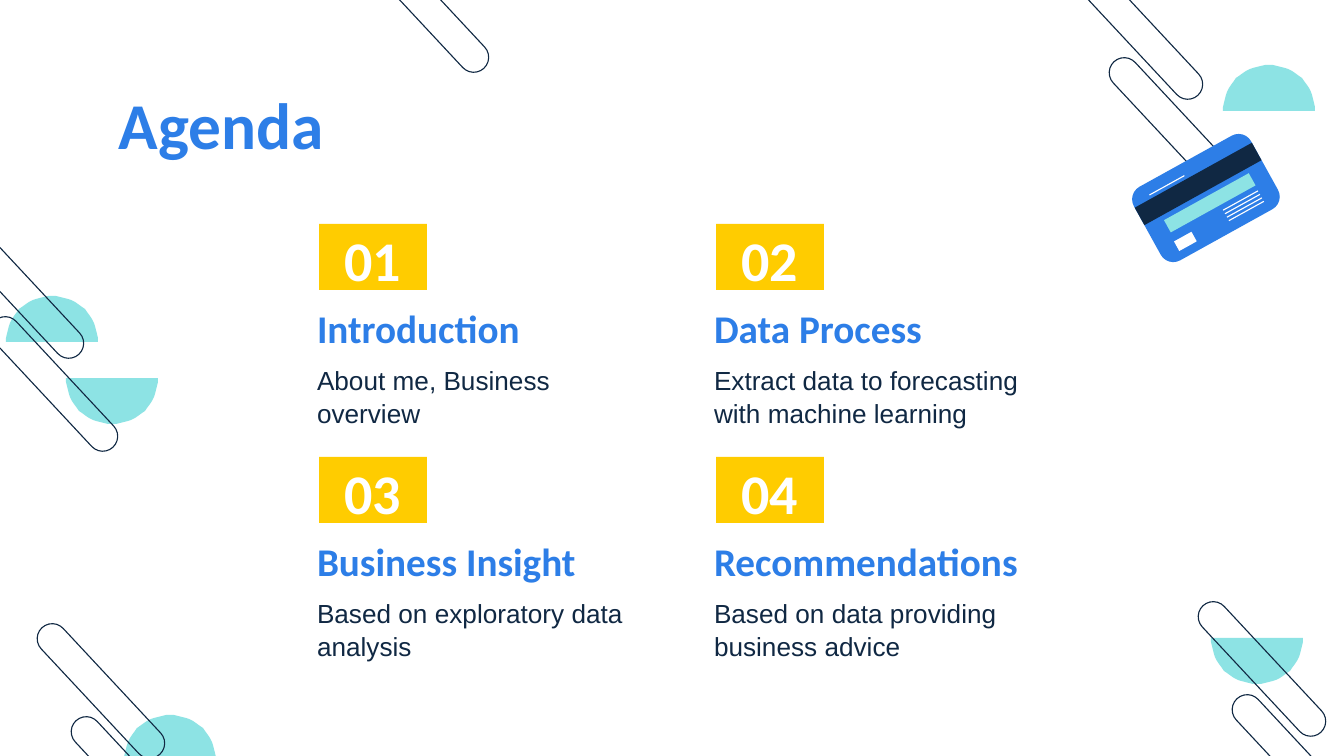
import math

from lxml import etree
from pptx import Presentation
from pptx.dml.color import RGBColor
from pptx.enum.shapes import MSO_CONNECTOR, MSO_SHAPE
from pptx.enum.text import MSO_ANCHOR, PP_ALIGN
from pptx.oxml.ns import qn
from pptx.util import Emu, Pt

RECT, ROUNDED = MSO_SHAPE.RECTANGLE, MSO_SHAPE.ROUNDED_RECTANGLE
STRAIGHT = MSO_CONNECTOR.STRAIGHT
TOP, MIDDLE, BOTTOM = MSO_ANCHOR.TOP, MSO_ANCHOR.MIDDLE, MSO_ANCHOR.BOTTOM
LEFT, CENTER = PP_ALIGN.LEFT, PP_ALIGN.CENTER

WIDTH, HEIGHT = 1344, 756
SCALE = 9144000 / WIDTH
COLORS = {"blue": "2D7EE7", "navy": "102843", "aqua": "8DE3E4",
          "yellow": "FFCC00", "white": "FFFFFF"}
HEADING, BODY = "Calibri", "Arial"
HAIRLINE = 0.59
LINE_SPACING = 1.07

PILL_LENGTH, PILL_WIDTH, PILL_ANGLE = 173, 30, 47
PILL_PAIR_STEP = (34, 93)
DISC_RADIUS = 46
CARD_ANGLE = -29

AGENDA = [
    ("01", "Introduction", "About me, Business overview"),
    ("02", "Data Process", "Extract data to forecasting with machine learning"),
    ("03", "Business Insight", "Based on exploratory data analysis"),
    ("04", "Recommendations", "Based on data providing business advice"),
]


def px(value):
    return Emu(round(value * SCALE))


def color(name):
    return RGBColor.from_string(COLORS[name])


def paint(shape, fill=None, line=None):
    shape.shadow.inherit = False
    if fill:
        shape.fill.solid()
        shape.fill.fore_color.rgb = color(fill)
    else:
        shape.fill.background()
    if line:
        shape.line.color.rgb = color(line)
        shape.line.width = Pt(HAIRLINE)
    else:
        shape.line.fill.background()


def write(shape, text, size, font, ink, bold=False, anchor=TOP, align=LEFT):
    frame = shape.text_frame
    frame.word_wrap = True
    frame.vertical_anchor = anchor
    frame.margin_left = frame.margin_right = px(13)
    frame.margin_top = frame.margin_bottom = px(13)
    frame.text = text
    para = frame.paragraphs[0]
    para.alignment = align
    para.line_spacing = LINE_SPACING
    style = para.runs[0].font
    style.name, style.size, style.bold = font, Pt(size), bold
    style.color.rgb = color(ink)


def add_text(page, box, *args, **style):
    write(page.shapes.add_textbox(*map(px, box)), *args, **style)


def add_tilted(page, kind, center, size, angle):
    (x, y), (width, height) = center, size
    shape = page.shapes.add_shape(kind, px(x - width / 2), px(y - height / 2),
                                  px(width), px(height))
    shape.rotation = angle
    return shape


def add_pill(page, x, y):
    pill = add_tilted(page, ROUNDED, (x, y), (PILL_LENGTH, PILL_WIDTH), PILL_ANGLE)
    pill.adjustments[0] = 0.5
    paint(pill, line="navy")


def add_pill_pair(page, x, y):
    """Draw a pill centred on x, y and a second one up and to the left."""
    add_pill(page, x, y)
    add_pill(page, x - PILL_PAIR_STEP[0], y - PILL_PAIR_STEP[1])


def add_half_disc(page, x, y, side):
    """Draw a half disc on the flat edge centred on x, y; side -1 is up, 1 down."""
    arc = [(x + DISC_RADIUS * math.cos(math.radians(step)),
            y + side * DISC_RADIUS * math.sin(math.radians(step)))
           for step in range(0, 181, 5)]
    builder = page.shapes.build_freeform(*arc[0], scale=SCALE)
    builder.add_line_segments(arc[1:], close=True)
    paint(builder.convert_to_shape(), fill="aqua")


def add_decoration(page):
    for x, y, side in [(1269, 111, -1), (52, 342, -1), (112, 378, 1),
                       (1257, 638, 1), (170, 761, -1)]:
        add_half_disc(page, x, y, side)
    for x, y in [(1173, 125), (54, 384), (135, 784), (1296, 762)]:
        add_pill_pair(page, x, y)
    add_pill(page, 425, 5)


def add_bank_card(page, x, y):
    """Draw the card centred on x, y, its parts measured along its own axes."""
    cos = math.cos(math.radians(CARD_ANGLE))
    sin = math.sin(math.radians(CARD_ANGLE))

    def spot(along, across):
        return x + along * cos - across * sin, y + along * sin + across * cos

    def part(kind, along, across, width, height, fill):
        shape = add_tilted(page, kind, spot(along, across), (width, height), CARD_ANGLE)
        paint(shape, fill=fill)
        return shape

    body = part(ROUNDED, 0, 0, 134, 84, "blue")
    body.adjustments[0] = 0.17
    part(RECT, 0, -16, 134, 20, "navy")
    part(RECT, 1, 6, 97, 14, "aqua")
    part(RECT, -39, 28, 20, 11, "white")
    for along, across in [(29, 19), (29, 23), (29, 27), (29, 31), (-28, -30)]:
        ends = spot(along - 20, across) + spot(along + 20, across)
        stroke = page.shapes.add_connector(STRAIGHT, *map(px, ends))
        stroke.line.color.rgb = color("white")
        stroke.line.width = Pt(HAIRLINE)
        etree.SubElement(stroke._element.spPr, qn("a:effectLst"))


def add_agenda_item(page, x, y, number, title, detail):
    badge = page.shapes.add_shape(RECT, px(x + 15), px(y), px(108), px(66))
    paint(badge, fill="yellow")
    write(badge, number, 30, HEADING, "white", bold=True, anchor=MIDDLE, align=CENTER)
    add_text(page, (x, y + 82, 339, 58), title, 21, HEADING, "blue",
             bold=True, anchor=BOTTOM)
    add_text(page, (x, y + 125, 339, 71), detail, 14, BODY, "navy")


def add_agenda(page, x, y, column_step, row_step):
    for index, item in enumerate(AGENDA):
        row, column = divmod(index, 2)
        add_agenda_item(page, x + column * column_step, y + row * row_step, *item)


def main():
    deck = Presentation()
    deck.slide_width, deck.slide_height = px(WIDTH), px(HEIGHT)
    page = deck.slides.add_slide(deck.slide_layouts[6])
    add_decoration(page)
    add_text(page, (106, 66, 1133, 85), "Agenda", 35, HEADING, "blue", bold=True)
    add_agenda(page, 304, 224, column_step=397, row_step=233)
    add_bank_card(page, 1206, 198)
    deck.save("out.pptx")


if __name__ == "__main__":
    main()
